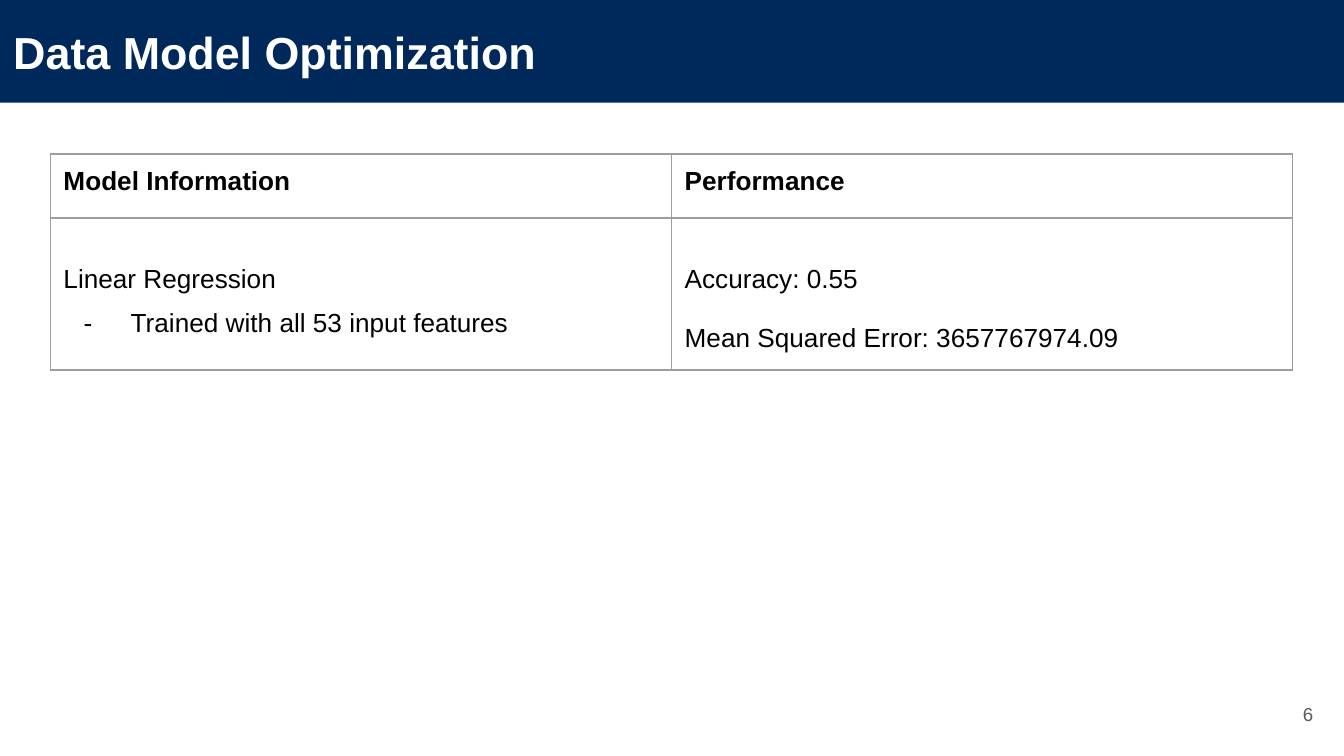
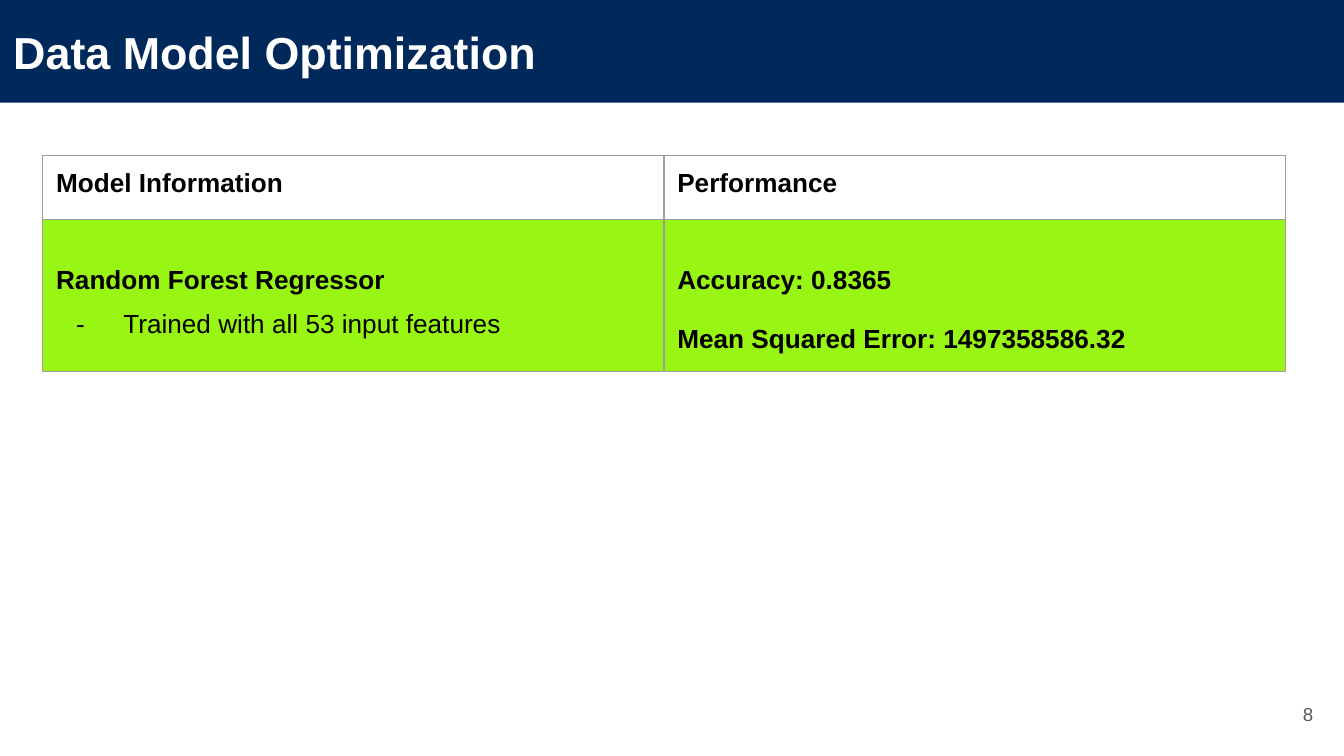
import lxml.etree
import pptx
import pptx.dml.color
import pptx.enum.text
import pptx.oxml.ns
import pptx.util

Cm, Pt = pptx.util.Cm, pptx.util.Pt
ALIGN = pptx.enum.text.PP_ALIGN
MIDDLE = pptx.enum.text.MSO_ANCHOR.MIDDLE
TOP = pptx.enum.text.MSO_ANCHOR.TOP

NAVY, WHITE, BLACK = "00295B", "FFFFFF", "000000"
GREY, RULE, LIME = "595959", "9E9E9E", "99F513"


def color(code):
    return pptx.dml.color.RGBColor.from_string(code)


def child(parent, tag, **attrs):
    return lxml.etree.SubElement(parent, pptx.oxml.ns.qn(tag), attrs)


class Deck:
    font = "Arial"
    inset = Cm(0.25)

    def __init__(self):
        self.prs = pptx.Presentation()
        self.prs.slide_width = Cm(25.4)
        self.prs.slide_height = Cm(14.29)
        self.slide = None

    def style(self, para, size, code, bold=False):
        font = para.font
        font.name, font.size, font.bold = self.font, Pt(size), bold
        font.color.rgb = color(code)

    def pad(self, item):
        item.margin_left = item.margin_right = self.inset
        item.margin_top = item.margin_bottom = self.inset
        item.vertical_anchor = MIDDLE

    def page(self, title, number):
        self.slide = self.prs.slides.add_slide(self.prs.slide_layouts[5])
        self.band(title)
        self.number(number)

    def band(self, text):
        box = self.slide.shapes.title
        box.left = box.top = 0
        box.width, box.height = self.prs.slide_width, Cm(1.94)
        box.fill.solid()
        box.fill.fore_color.rgb = color(NAVY)
        frame = box.text_frame
        frame.auto_size = pptx.enum.text.MSO_AUTO_SIZE.NONE
        frame.word_wrap = True
        self.pad(frame)
        frame.text = text
        para = frame.paragraphs[0]
        para.alignment = ALIGN.LEFT
        self.style(para, 24, WHITE, True)

    def number(self, value):
        box = self.slide.shapes.add_textbox(Cm(23.55), Cm(12.95), Cm(1.52), Cm(1.09))
        frame = box.text_frame
        frame.word_wrap = True
        self.pad(frame)
        frame.text = str(value)
        para = frame.paragraphs[0]
        para.alignment = ALIGN.RIGHT
        self.style(para, 10, GREY)

    def dash(self, para):
        props = para._p.get_or_add_pPr()
        props.set("marL", str(Cm(1.27)))
        props.set("indent", str(-Cm(0.89)))
        child(child(props, "a:buClr"), "a:srgbClr", val=BLACK)
        child(props, "a:buFont", typeface=self.font)
        child(props, "a:buChar", char="-")

    def border(self, cell):
        props = cell._tc.get_or_add_tcPr()
        for side in ("L", "R", "T", "B"):
            line = child(props, f"a:ln{side}", w=str(Pt(0.75)))
            child(child(line, "a:solidFill"), "a:srgbClr", val=RULE)

    def cell(self, cell, lines, space, fill):
        """Each line is a tuple: text, bold, dashed."""
        self.pad(cell)
        self.border(cell)
        if fill:
            cell.fill.solid()
            cell.fill.fore_color.rgb = color(fill)
        else:
            cell.fill.background()
        frame = cell.text_frame
        frame.text = "\n".join(text for text, _, _ in lines)
        for para, (_, bold, dashed) in zip(frame.paragraphs, lines):
            if dashed:
                self.dash(para)
            para.line_spacing = space
            self.style(para, 14, BLACK, bold)

    def table(self, left, top, model, scores, bold, fill=None):
        width, heights = Cm(11.74), (Cm(1.21), Cm(2.11))
        shape = self.slide.shapes.add_table(2, 2, Cm(left), Cm(top), 2 * width, sum(heights))
        grid = shape.table
        grid.first_row = grid.horz_banding = False
        for col in grid.columns:
            col.width = width
        for row, height in zip(grid.rows, heights):
            row.height = height

        # Header row
        for col, head in enumerate(("Model Information", "Performance")):
            self.cell(grid.cell(0, col), [(head, True, False)], 1.0, None)
            grid.cell(0, col).vertical_anchor = TOP

        # Model and its scores
        about = [(model, bold, False),
                 ("Trained with all 53 input features", False, True)]
        self.cell(grid.cell(1, 0), about, 1.5, fill)
        self.cell(grid.cell(1, 1), [(text, bold, False) for text in scores], 2.0, fill)


def main():
    deck = Deck()
    title = "Data Model Optimization"

    # Linear model
    deck.page(title, 6)
    deck.table(0.95, 2.91, "Linear Regression",
               ("Accuracy: 0.55", "Mean Squared Error: 3657767974.09"), False)

    # Forest model, marked as the best
    deck.page(title, 8)
    deck.table(0.81, 2.94, "Random Forest Regressor",
               ("Accuracy: 0.8365", "Mean Squared Error: 1497358586.32"), True, LIME)

    deck.prs.save("out.pptx")


if __name__ == "__main__":
    main()
